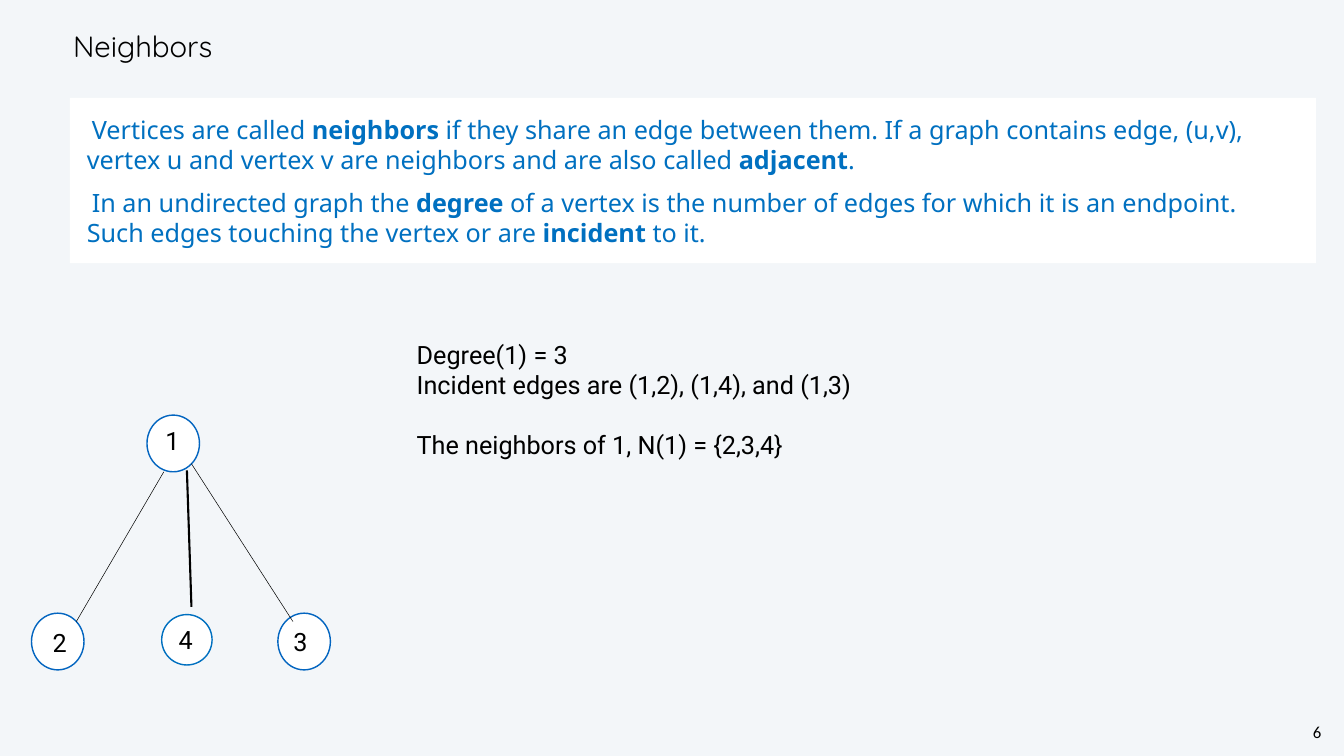
from lxml import etree
from pptx import Presentation
from pptx.dml.color import RGBColor
from pptx.enum import shapes, text
from pptx.oxml import ns
from pptx.util import Pt

COLORS = {"background": "F3F6F9", "ink": "000000", "panel": "FFFFFF",
          "definition": "0070C0", "node": "0365C0"}


def color(name):
    return RGBColor.from_string(COLORS[name])


def add_text(left, top, width, height, lines, font, size, inset=4.32,
             anchor=text.MSO_ANCHOR.MIDDLE, wrap=True, ink="ink"):
    box = page.shapes.add_textbox(Pt(left), Pt(top), Pt(width), Pt(height))
    frame = box.text_frame
    frame.word_wrap = wrap
    frame.vertical_anchor = anchor
    frame.margin_left = frame.margin_right = Pt(inset)
    frame.margin_top = frame.margin_bottom = Pt(inset)
    frame.text = "\n".join("".join(line) for line in lines)
    for para, line in zip(frame.paragraphs, lines):
        if len(line) > 1:
            para.text = ""
            for index, part in enumerate(line):
                span = para.add_run()
                span.text = part
                span.font.bold = index % 2 == 1
        for span in para.runs:
            span.font.name = font
            span.font.size = Pt(size)
            span.font.color.rgb = color(ink)
    return box


deck = Presentation()
deck.slide_width, deck.slide_height = Pt(1920), Pt(1080)
page = deck.slides.add_slide(deck.slide_layouts[6])
page.background.fill.solid()
page.background.fill.fore_color.rgb = color("background")

number = add_text(1866, 1029, 31, 34, [["6"]], "Calibri", 24, inset=2.88,
                  anchor=text.MSO_ANCHOR.TOP, wrap=False)
number.text_frame.paragraphs[0].alignment = text.PP_ALIGN.CENTER
number.text_frame.paragraphs[0].line_spacing = Pt(28)

title = add_text(100, 30, 1629, 71, [["Neighbors"]], "Quicksand", 42)
title.text_frame.paragraphs[0].line_spacing = Pt(50)

definitions = [
    ["Vertices are called ", "neighbors",
     " if they share an edge between them. If a graph contains edge, (u,v), "
     "vertex u and vertex v are neighbors and are also called ", "adjacent", "."],
    ["In an undirected graph the ", "degree",
     " of a vertex is the number of edges for which it is an endpoint. "
     "Such edges touching the vertex or are ", "incident", " to it."],
]
panel = add_text(100, 140, 1780, 236, definitions, "Noto Sans", 36, inset=24,
                 anchor=text.MSO_ANCHOR.TOP, ink="definition")
panel.fill.solid()
panel.fill.fore_color.rgb = color("panel")
for para in panel.text_frame.paragraphs:
    para.line_spacing = Pt(43)
    para.space_before = Pt(18)
    properties = para._p.get_or_add_pPr()
    properties.set("marL", "0")
    properties.set("indent", str(Pt(7.2)))

nodes = [
    ("1", 210, 593, 75, 81, 232, 603, "node"),
    ("2", 45, 876, 75, 81, 71, 892, "node"),
    ("3", 397, 876, 75, 81, 415, 890, "node"),
    ("4", 231, 878, 72, 72, 251, 888, "definition"),
]
for label, left, top, width, height, label_left, label_top, outline in nodes:
    node = page.shapes.add_shape(shapes.MSO_SHAPE.OVAL, Pt(left), Pt(top),
                                 Pt(width), Pt(height))
    node.shadow.inherit = False
    node.fill.solid()
    node.fill.fore_color.rgb = color("panel")
    node.line.color.rgb = color(outline)
    node.line.width = Pt(2)

edges = [
    (234, 674, 109, 888, 0.75),
    (273.5, 662.5, 418.5, 888, 0.75),
    (267, 672, 273.5, 867, 3),
]
for *ends, weight in edges:
    edge = page.shapes.add_connector(shapes.MSO_CONNECTOR.STRAIGHT,
                                     *[Pt(end) for end in ends])
    edge.line.color.rgb = color("ink")
    edge.line.width = Pt(weight)
    etree.SubElement(edge._element.spPr, ns.qn("a:effectLst"))

for label, left, top, width, height, label_left, label_top, outline in nodes:
    add_text(label_left, label_top, 78, 52, [[label]], "Roboto", 36)

facts = [["Degree(1) = 3"], ["Incident edges are (1,2), (1,4), and (1,3)"],
         ["The neighbors of 1, N(1) = {2,3,4}"]]
example = add_text(591, 480, 652, 190, facts, "Roboto", 36,
                   anchor=text.MSO_ANCHOR.TOP, wrap=False)
example.text_frame.paragraphs[2].space_before = Pt(43)

deck.save("out.pptx")
